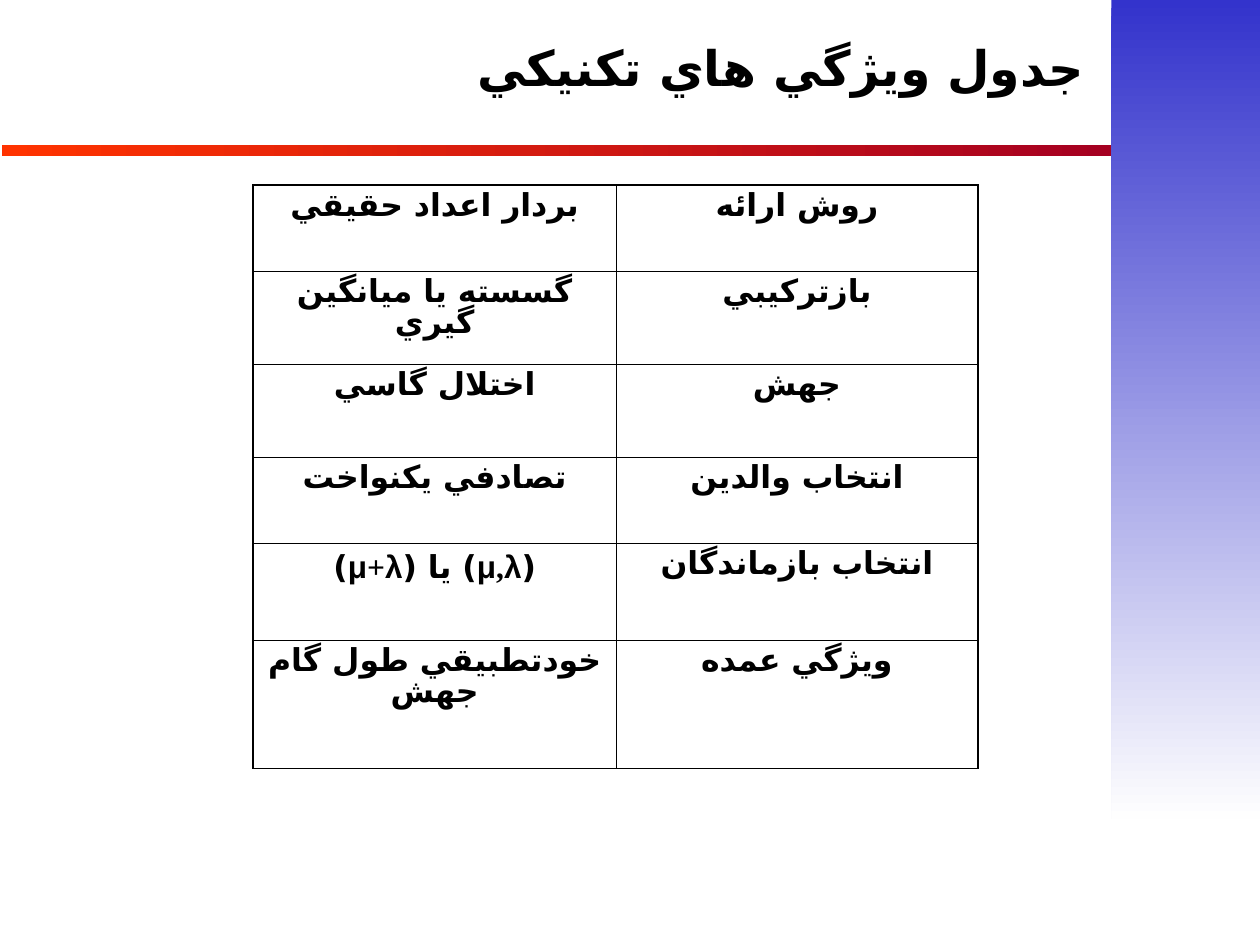
from lxml.etree import SubElement
from pptx import Presentation
from pptx.dml.color import RGBColor
from pptx.enum.shapes import MSO_SHAPE as Shape
from pptx.enum.text import MSO_ANCHOR as Anchor, PP_ALIGN as Align
from pptx.oxml.ns import qn
from pptx.util import Inches, Pt

COLORS = {
    "text": "000000",
    "rule_start": "A50021",
    "rule_end": "FF3300",
    "band_top": "3333CC",
    "band_bottom": "FEFEFE",
}
GREEK = "μλ"
ARABIC_FONT = "DejaVu Sans"
ROWS = [
    ("بردار اعداد حقيقي", "روش ارائه", 0.68),
    ("گسسته يا ميانگين گيري", "بازتركيبي", 0.74),
    ("اختلال گاسي", "جهش", 0.74),
    ("تصادفي يكنواخت", "انتخاب والدين", 0.68),
    ("(μ,λ) يا (μ+λ)", "انتخاب بازماندگان", 0.77),
    ("خودتطبيقي طول گام جهش", "ويژگي عمده", 1.02),
]
COLUMN_WIDTHS = (2.88, 2.87)
OUTER_LINE, INNER_LINE = 1.08, 0.45


def rgb(name):
    """Return the named colour."""
    return RGBColor.from_string(COLORS[name])


def split_greek(text):
    """Split text into pieces, each Greek letter on its own."""
    for letter in GREEK:
        text = text.replace(letter, f"|{letter}|")
    return [piece for piece in text.split("|") if piece]


def write_text(frame, text, size, font, align, spacing):
    """Write one bold right-to-left paragraph, with Greek letters in Arial."""
    frame.word_wrap = True
    paragraph = frame.paragraphs[0]
    paragraph.alignment = align
    paragraph.line_spacing = spacing
    paragraph._p.get_or_add_pPr().set("rtl", "1")
    for piece in split_greek(text):
        run = paragraph.add_run()
        run.text = piece
        run.font.size = Pt(size)
        run.font.bold = True
        run.font.color.rgb = rgb("text")
        run.font.name = "Arial" if piece in GREEK else font
        complex_font = SubElement(run._r.get_or_add_rPr(), qn("a:cs"))
        complex_font.set("typeface", ARABIC_FONT)


def add_gradient_bar(slide, left, top, width, height, start, end, angle):
    """Add a borderless rectangle with a two-colour gradient."""
    shape = slide.shapes.add_shape(
        Shape.RECTANGLE, Inches(left), Inches(top), Inches(width), Inches(height))
    shape.shadow.inherit = False
    shape.line.fill.background()
    shape.fill.gradient()
    shape.fill.gradient_angle = angle
    for stop, color in zip(shape.fill.gradient_stops, (start, end)):
        stop.color.rgb = rgb(color)


def add_title(slide, left, top, width, height, text):
    """Add the right-aligned slide title."""
    box = slide.shapes.add_textbox(
        Inches(left), Inches(top), Inches(width), Inches(height))
    box.text_frame.vertical_anchor = Anchor.MIDDLE
    write_text(box.text_frame, text, 28, "Cabin", Align.RIGHT, 0.8)


def set_borders(cell, widths):
    """Draw the cell's borders from a dict of side to width in points."""
    properties = cell._tc.get_or_add_tcPr()
    for side, width in widths.items():
        line = SubElement(properties, qn(f"a:ln{side}"), w=str(Pt(width)))
        fill = SubElement(line, qn("a:solidFill"))
        SubElement(fill, qn("a:srgbClr"), val=COLORS["text"])


def add_feature_table(slide, left, top, width, height):
    """Add the table of technical features."""
    row_count, column_count = len(ROWS), len(COLUMN_WIDTHS)
    table = slide.shapes.add_table(
        row_count, column_count, Inches(left), Inches(top),
        Inches(width), Inches(height)).table
    table.first_row = table.horz_banding = False
    for column, column_width in zip(table.columns, COLUMN_WIDTHS):
        column.width = Inches(column_width)
    for row_index, (*texts, row_height) in enumerate(ROWS):
        table.rows[row_index].height = Inches(row_height)
        for column_index, text in enumerate(texts):
            cell = table.cell(row_index, column_index)
            is_outer = {
                "L": column_index == 0,
                "R": column_index == column_count - 1,
                "T": row_index == 0,
                "B": row_index == row_count - 1,
            }
            set_borders(cell, {side: OUTER_LINE if outer else INNER_LINE
                               for side, outer in is_outer.items()})
            cell.fill.background()
            spacing = 1.0 if len(split_greek(text)) > 1 else 0.86
            write_text(cell.text_frame, text, 18, "Times New Roman",
                       Align.CENTER, spacing)


def main():
    """Build and save the slide."""
    presentation = Presentation()
    presentation.slide_width, presentation.slide_height = Inches(10), Inches(7.5)
    slide = presentation.slides.add_slide(presentation.slide_layouts[6])
    add_gradient_bar(slide, 0.02, 1.15, 8.8, 0.09, "rule_start", "rule_end", 180)
    add_gradient_bar(slide, 8.82, 0, 1.22, 6.5, "band_top", "band_bottom", 270)
    add_title(slide, 0.12, 0, 8.58, 1.15, "جدول ويژگي هاي تكنيكي")
    add_feature_table(slide, 2.01, 1.47, 5.75, 4.63)
    presentation.save("out.pptx")


if __name__ == "__main__":
    main()
